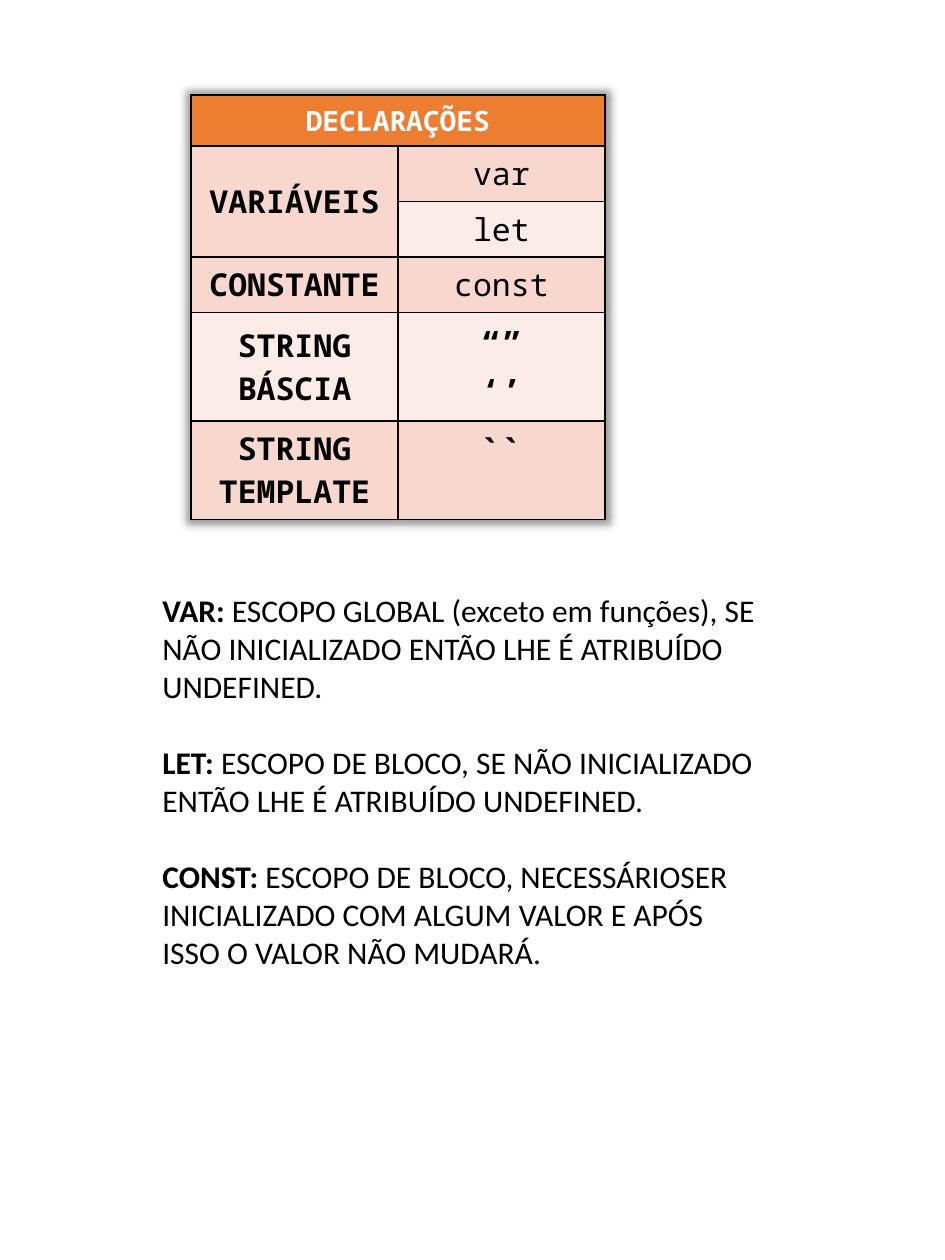
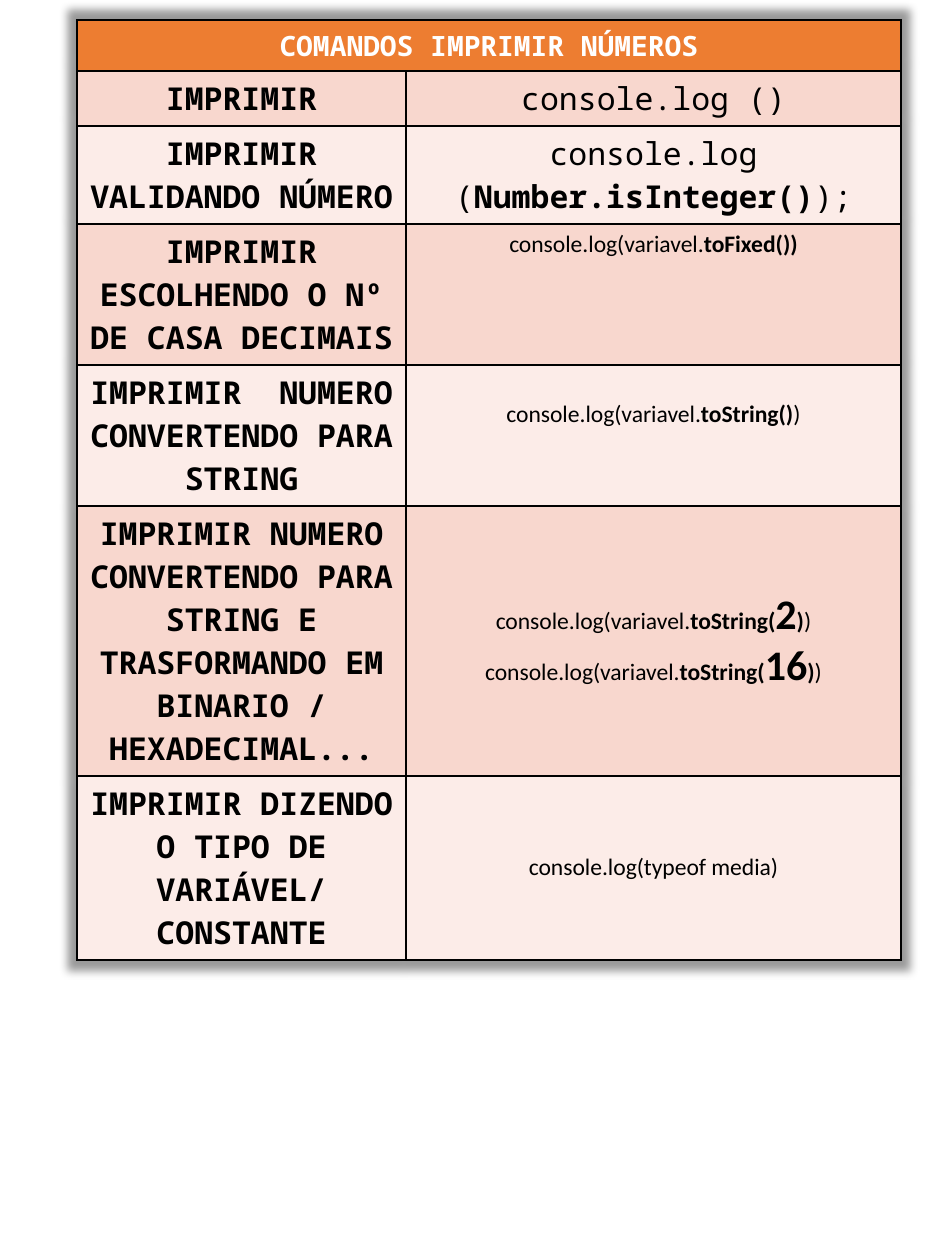
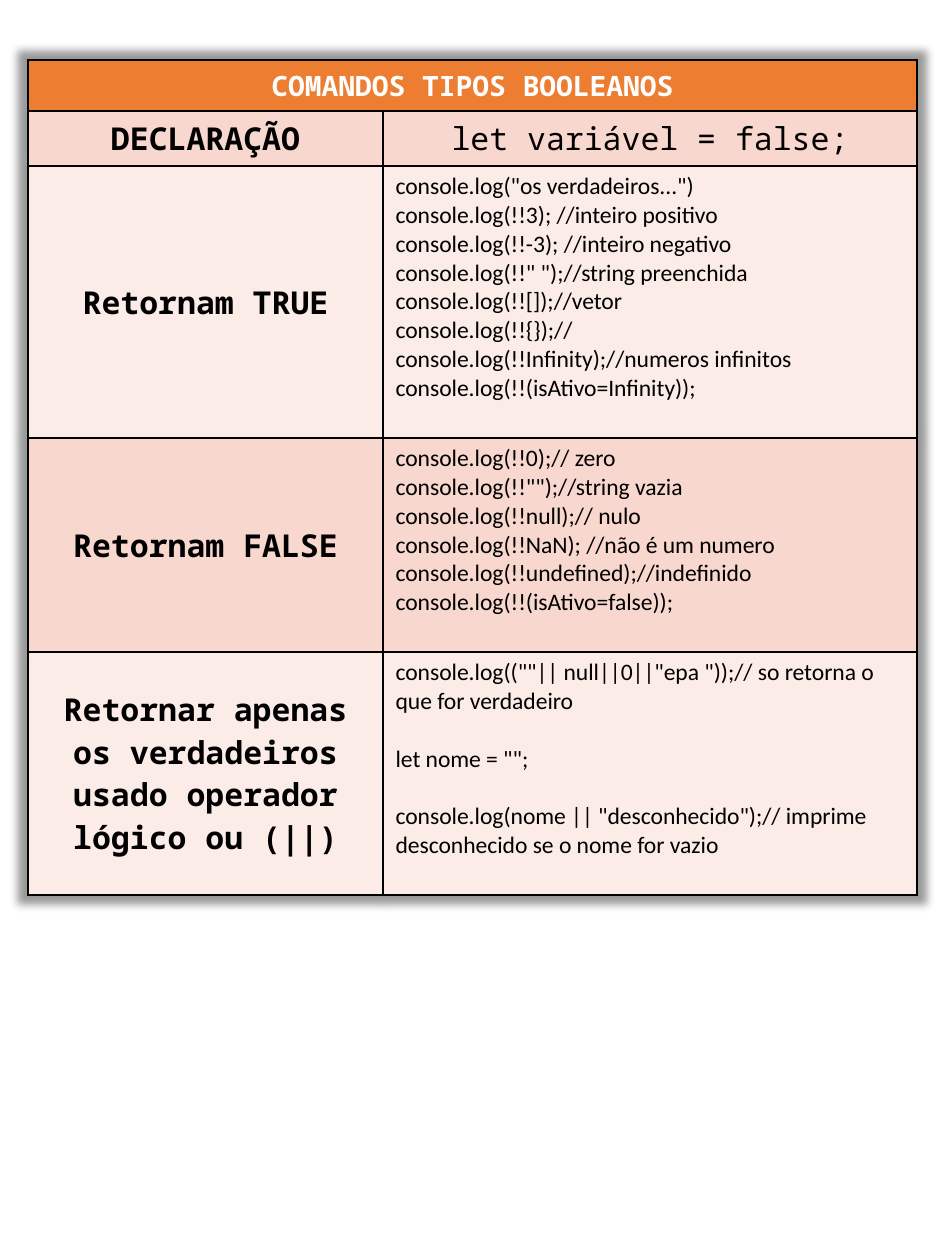
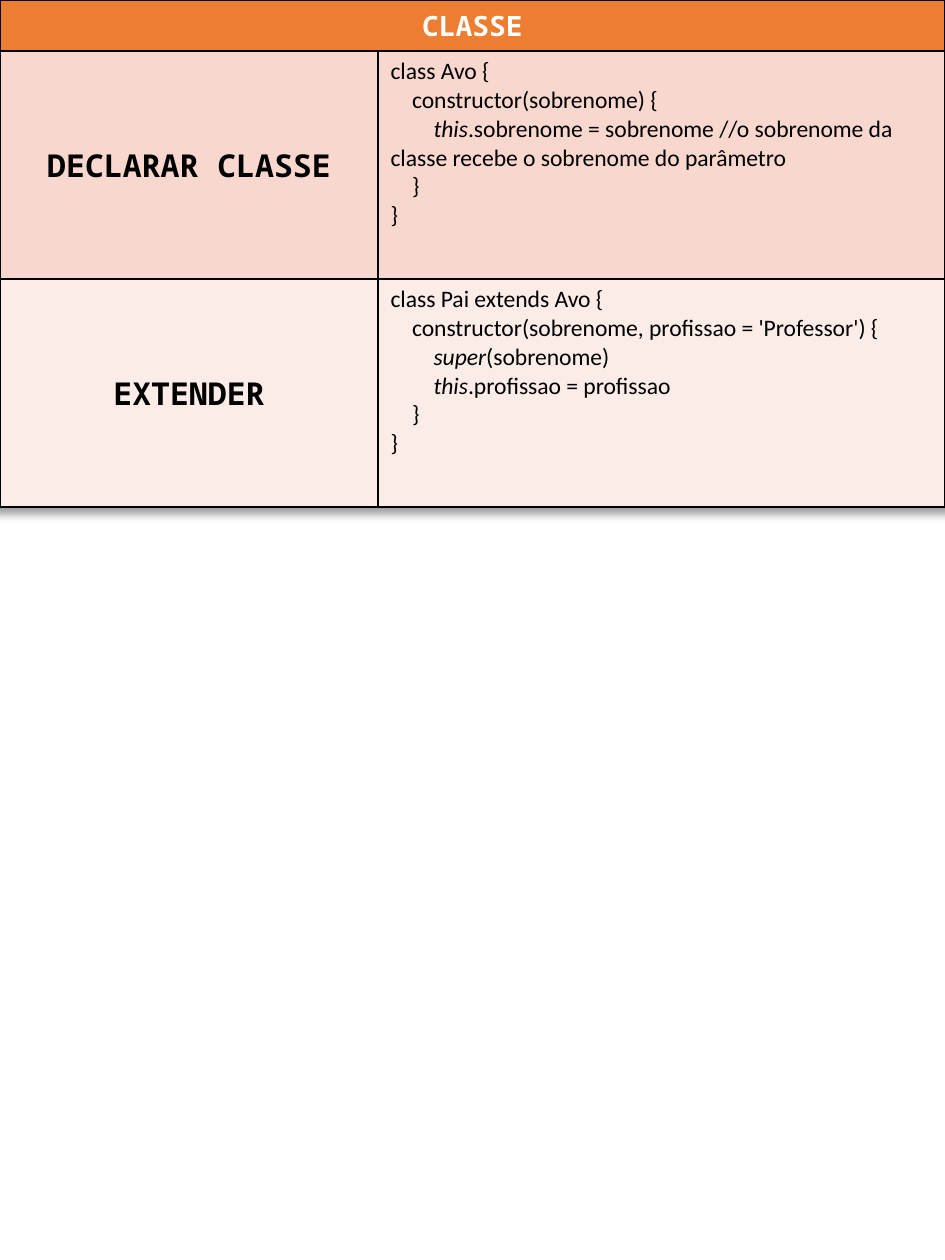
from dataclasses import dataclass, replace

from lxml.etree import SubElement
from pptx import Presentation
from pptx.dml.color import RGBColor
from pptx.enum.text import MSO_ANCHOR as Anchor, PP_ALIGN as Align
from pptx.oxml import parse_xml
from pptx.oxml.ns import nsdecls, qn
from pptx.util import Emu, Pt

PIXEL = 914400 // 126
HEADER_HEIGHT = 51
ROW_HEIGHT = 55
CODE_INDENT = 21.5

COLOURS = {
    "header": "ED7D31",
    "band_dark": "F8D7CE",
    "band_light": "FCECE8",
    "text": "000000",
    "header_text": "FFFFFF",
    "border": "000000",
}


@dataclass(frozen=True)
class Style:
    font: str
    size: float
    bold: bool = False
    italic: bool = False
    colour: str = "text"


HEADER = Style("Noto Sans Mono", 16, bold=True, colour="header_text")
LABEL = Style("Noto Sans Mono", 18, bold=True)
VALUE = replace(LABEL, bold=False)
QUOTES = replace(LABEL, size=20)
CODE = Style("Calibri", 13.5)
CODE_BOLD = replace(CODE, bold=True)
CODE_ITALIC = replace(CODE, italic=True)
CODE_BIG = replace(CODE_BOLD, size=24)
NOTE = Style("Calibri", 18)
NOTE_BOLD = replace(NOTE, bold=True)


@dataclass
class Line:
    runs: list
    indent: int = 0
    space_before: float = 0


@dataclass
class Content:
    lines: list
    align: Align = Align.CENTER
    anchor: Anchor = Anchor.MIDDLE
    extra_bottom: int = 0


def px(value):
    return Emu(round(value * PIXEL))


def single(text, style):
    return Content([Line([(text, style)])])


def top(content):
    return replace(content, anchor=Anchor.TOP)


def code_line(text, indent=0, space_before=0):
    return Line([(text, CODE)], indent, space_before)


def listing(*lines):
    lines = [code_line(line) if isinstance(line, str) else line for line in lines]
    return Content(lines, Align.LEFT, Anchor.TOP)


def keyword_line(keyword, rest):
    return Line([(keyword, CODE_ITALIC), (rest, CODE)], indent=2)


def base_line(number):
    return Line([
        ("console.log(variavel.", CODE),
        ("toString(", CODE_BOLD),
        (number, CODE_BIG),
        (")", CODE_BOLD),
        (")", CODE),
    ])


def format_run(run, style):
    run.font.name = style.font
    run.font.size = Pt(style.size)
    run.font.bold = style.bold
    run.font.italic = style.italic
    run.font.color.rgb = RGBColor.from_string(COLOURS[style.colour])


def write_line(paragraph, line, align):
    paragraph.alignment = align
    if line.space_before:
        paragraph.space_before = Pt(line.space_before)
    if line.indent:
        properties = paragraph._p.get_or_add_pPr()
        properties.set("marL", "0")
        properties.set("indent", str(px(line.indent * CODE_INDENT)))
    if len(line.runs) == 1:
        text, style = line.runs[0]
        paragraph.text = text
        for run in paragraph.runs:
            format_run(run, style)
        return
    for text, style in line.runs:
        run = paragraph.add_run()
        run.text = text
        format_run(run, style)


def write_lines(text_frame, lines, align):
    for index, line in enumerate(lines):
        paragraph = text_frame.add_paragraph() if index else text_frame.paragraphs[0]
        write_line(paragraph, line, align)


def paint_cell(cell, colour):
    properties = cell._tc.get_or_add_tcPr()
    for side in ("a:lnL", "a:lnR", "a:lnT", "a:lnB"):
        border = SubElement(properties, qn(side), w=str(Pt(1)))
        fill = SubElement(border, qn("a:solidFill"))
        SubElement(fill, qn("a:srgbClr"), val=COLOURS["border"])
    cell.fill.solid()
    cell.fill.fore_color.rgb = RGBColor.from_string(COLOURS[colour])


def fill_cell(cell, content):
    cell.vertical_anchor = content.anchor
    if content.extra_bottom:
        cell.margin_bottom += px(content.extra_bottom)
    write_lines(cell.text_frame, content.lines, content.align)


def add_table_shadow(table):
    table._tbl.tblPr.insert(0, parse_xml(
        f'<a:effectLst {nsdecls("a")}>'
        '<a:outerShdw blurRad="63500" sx="102000" sy="102000" algn="ctr" rotWithShape="0">'
        '<a:srgbClr val="000000"><a:alpha val="40000"/></a:srgbClr>'
        '</a:outerShdw></a:effectLst>'
    ))


def add_reference_table(slide, left, upper, widths, title, rows):
    heights = [HEADER_HEIGHT] + [height for height, _, _ in rows]
    frame = slide.shapes.add_table(
        len(heights), 2, px(left), px(upper), px(sum(widths)), px(sum(heights))
    )
    table = frame.table
    table.first_row = table.horz_banding = False
    add_table_shadow(table)
    for column, width in zip(table.columns, widths):
        column.width = px(width)
    for index, (row, height) in enumerate(zip(table.rows, heights)):
        row.height = px(height)
        band = "band_dark" if index % 2 else "band_light"
        for cell in row.cells:
            paint_cell(cell, band if index else "header")
    table.cell(0, 0).merge(table.cell(0, 1))
    fill_cell(table.cell(0, 0), single(title, HEADER))
    for index, (_, label, value) in enumerate(rows, 1):
        if label:
            fill_cell(table.cell(index, 0), single(label, LABEL))
        else:
            table.cell(index - 1, 0).merge(table.cell(index, 0))
        fill_cell(table.cell(index, 1), value)


def add_notes_box(slide, left, upper, width, height, notes):
    text_frame = slide.shapes.add_textbox(px(left), px(upper), px(width), px(height)).text_frame
    text_frame.word_wrap = True
    lines = [
        Line([(term + ":", NOTE_BOLD), (" " + text, NOTE)], space_before=22 if index else 0)
        for index, (term, text) in enumerate(notes)
    ]
    write_lines(text_frame, lines, Align.LEFT)


def build_declarations(slide):
    add_reference_table(slide, 191, 95, (207, 207), "DECLARAÇÕES", [
        (ROW_HEIGHT, "VARIÁVEIS", single("var", VALUE)),
        (ROW_HEIGHT, None, single("let", VALUE)),
        (ROW_HEIGHT, "CONSTANTE", single("const", VALUE)),
        (108, "STRING\vBÁSCIA", single("“”\v‘’", QUOTES)),
        (98, "STRING\vTEMPLATE", top(single("``", QUOTES))),
    ])
    add_notes_box(slide, 150, 585, 631, 394, [
        ("VAR", "ESCOPO GLOBAL (exceto em funções), SE NÃO INICIALIZADO "
                "ENTÃO LHE É ATRIBUÍDO UNDEFINED."),
        ("LET", "ESCOPO DE BLOCO, SE NÃO INICIALIZADO ENTÃO LHE É ATRIBUÍDO UNDEFINED."),
        ("CONST", "ESCOPO DE BLOCO, NECESSÁRIOSER INICIALIZADO COM ALGUM VALOR "
                  "E APÓS ISSO O VALOR NÃO MUDARÁ."),
    ])


def build_number_printing(slide):
    validate = Content([Line([
        ("console.log (", VALUE), ("Number.isInteger()", LABEL), (");", VALUE),
    ])])
    decimals = top(Content([Line([
        ("console.log(variavel.", CODE), ("toFixed())", CODE_BOLD),
    ])]))
    to_string = Content([Line([
        ("console.log(variavel.", CODE), ("toString()", CODE_BOLD), (")", CODE),
    ])], extra_bottom=42)
    add_reference_table(slide, 77, 20, (329, 495), "COMANDOS IMPRIMIR NÚMEROS", [
        (ROW_HEIGHT, "IMPRIMIR", single("console.log ()", VALUE)),
        (98, "IMPRIMIR VALIDANDO NÚMERO", validate),
        (141, "IMPRIMIR ESCOLHENDO O Nº DE CASA DECIMAIS", decimals),
        (141, "IMPRIMIR  NUMERO CONVERTENDO PARA STRING", to_string),
        (270, "IMPRIMIR NUMERO CONVERTENDO PARA STRING E TRASFORMANDO EM "
              "BINARIO / HEXADECIMAL...", Content([base_line("2"), base_line("16")])),
        (184, "IMPRIMIR DIZENDO O TIPO DE VARIÁVEL/ CONSTANTE",
         single("console.log(typeof media)", CODE)),
    ])


def build_booleans(slide):
    truthy = listing(
        'console.log("os verdadeiros...")',
        "console.log(!!3); //inteiro positivo",
        "console.log(!!-3); //inteiro negativo",
        'console.log(!!" ");//string preenchida',
        "console.log(!![]);//vetor",
        "console.log(!!{});//",
        "console.log(!!Infinity);//numeros infinitos",
        "console.log(!!(isAtivo=Infinity));",
    )
    falsy = listing(
        "console.log(!!0);// zero",
        'console.log(!!"");//string vazia',
        "console.log(!!null);// nulo",
        "console.log(!!NaN); //não é um numero",
        "console.log(!!undefined);//indefinido",
        "console.log(!!(isAtivo=false));",
    )
    logical_or = listing(
        'console.log((""|| null||0||"epa "));// so retorna o que for verdadeiro',
        code_line('let nome = "";', space_before=16.5),
        code_line('console.log(nome || "desconhecido");// imprime desconhecido '
                  "se o nome for vazio", space_before=16.5),
    )
    add_reference_table(slide, 28, 60, (355, 534), "COMANDOS TIPOS BOOLEANOS", [
        (ROW_HEIGHT, "DECLARAÇÃO", single("let variável = false;", VALUE)),
        (272, "Retornam TRUE", truthy),
        (214, "Retornam FALSE", falsy),
        (243, "Retornar apenas os verdadeiros usado operador lógico ou (||)", logical_or),
    ])


def build_classes(slide):
    declare = listing(
        "class Avo {",
        code_line("constructor(sobrenome) {", 1),
        keyword_line("this", ".sobrenome = sobrenome //o sobrenome da classe recebe "
                             "o sobrenome do parâmetro"),
        code_line("}", 1),
        "}",
    )
    extend = listing(
        "class Pai extends Avo {",
        code_line("constructor(sobrenome, profissao = 'Professor') {", 1),
        keyword_line("super", "(sobrenome)"),
        keyword_line("this", ".profissao = profissao"),
        code_line("}", 1),
        "}",
    )
    add_reference_table(slide, 0, 0, (378, 567), "CLASSE", [
        (228, "DECLARAR CLASSE", declare),
        (228, "EXTENDER", extend),
    ])


def main():
    presentation = Presentation()
    presentation.slide_width = px(945)
    presentation.slide_height = px(1260)
    blank = presentation.slide_layouts[6]
    for build in (build_declarations, build_number_printing, build_booleans, build_classes):
        build(presentation.slides.add_slide(blank))
    presentation.save("out.pptx")


main()
